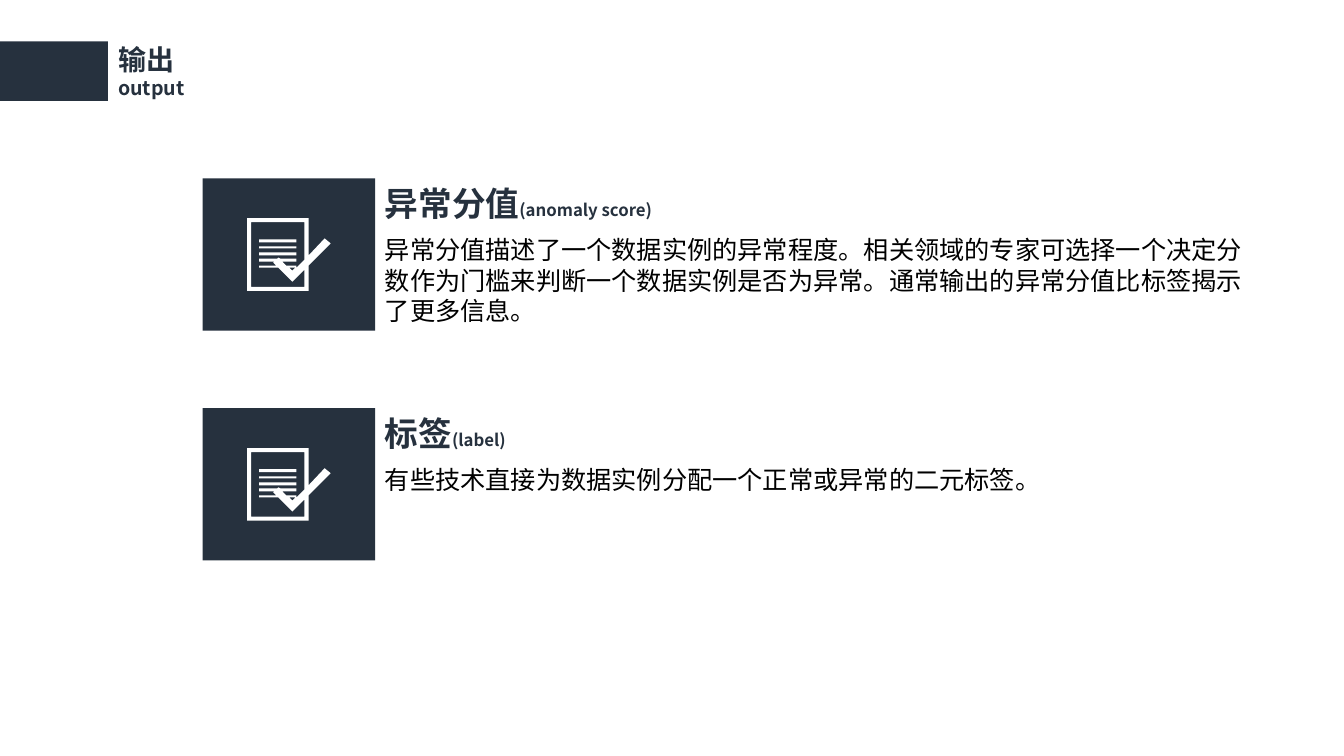
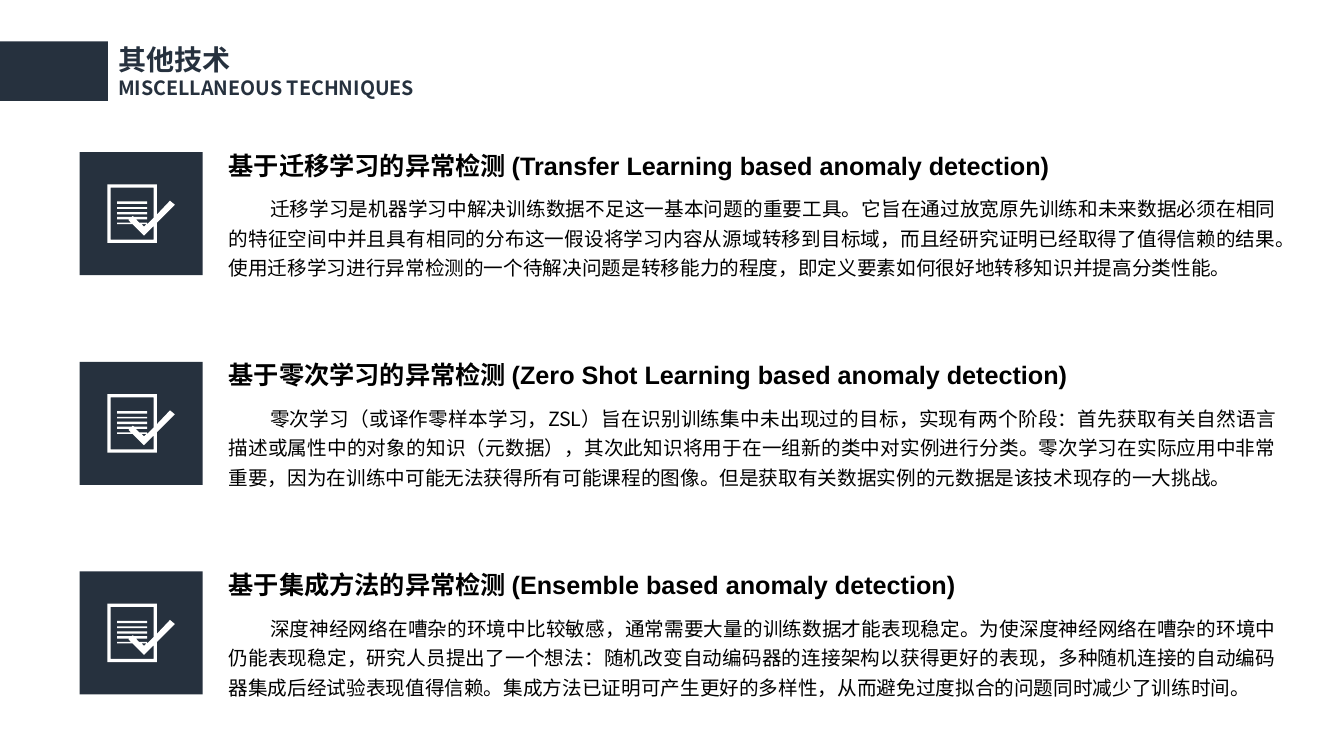
from dataclasses import dataclass

from lxml import etree
from pptx import Presentation
from pptx.dml.color import RGBColor
from pptx.enum.shapes import MSO_SHAPE
from pptx.enum.text import MSO_ANCHOR, MSO_AUTO_SIZE, PP_ALIGN
from pptx.oxml.ns import qn
from pptx.util import Inches, Pt

# Shared look
RECTANGLE = MSO_SHAPE.RECTANGLE
TOP = MSO_ANCHOR.TOP
FIT_SHAPE = MSO_AUTO_SIZE.SHAPE_TO_FIT_TEXT
LEFT, JUSTIFY = PP_ALIGN.LEFT, PP_ALIGN.JUSTIFY
NAVY, BLACK, WHITE = "26313E", "000000", "FFFFFF"
HAN, LATIN = "Noto Sans CJK SC", "Arial"
SLIDE_WIDTH, SLIDE_HEIGHT = Inches(13.33), Inches(7.5)
TITLE_ONLY = 5


@dataclass(frozen=True)
class Frame:
    """Left and width in percent of slide width, top and height of slide height."""
    left: float
    top: float
    width: float
    height: float

    def emu(self) -> tuple[int, int, int, int]:
        return (across(self.left), down(self.top),
                across(self.width), down(self.height))


@dataclass(frozen=True)
class Span:
    text: str
    size: float
    color: str = NAVY
    bold: bool = True
    font: str = HAN


@dataclass(frozen=True)
class Para:
    spans: list[Span]
    align: PP_ALIGN = LEFT
    line_spacing: float = 1.0
    first_indent: float = 0


@dataclass(frozen=True)
class Item:
    heading: Para
    body: Para
    body_height: float


@dataclass(frozen=True)
class ListStyle:
    """Frames of the first item; the others follow at an equal pitch."""
    tile: Frame
    icon_height: float
    heading: Frame
    body_left: float
    body_top: float
    body_width: float
    pitch: float


@dataclass(frozen=True)
class Page:
    title: str
    subtitle: str
    style: ListStyle
    items: list[Item]


BAND = Frame(0, 5.47, 8.03, 7.87)
TITLE = Frame(8.03, 4.93, 32.93, 8.93)

WIDE = ListStyle(Frame(15.08, 23.6, 12.83, 20.13), 9.6,
                 Frame(27.9, 23.6, 38.4, 6.67), 27.9, 30.4, 66.83, 30.4)
COMPACT = ListStyle(Frame(5.93, 20.13, 9.15, 16.27), 7.73,
                    Frame(16.28, 19.2, 77.85, 5.33), 16.28, 24.67, 79.43, 27.73)

# Checklist icon on an 83 by 72 unit grid; inner outlines cut holes
ICON_WIDTH, ICON_HEIGHT = 83, 72
Contour = list[tuple[int, int]]
ICON: list[Contour] = [
    [(0, 0), (61, 0), (61, 37), (77, 20), (83, 25), (61, 47), (61, 72), (0, 72)],
    [(4, 4), (4, 68), (57, 68), (57, 51), (45, 63), (31, 49), (12, 49),
     (12, 47), (29, 47), (26, 44), (27, 43), (12, 43), (12, 40), (30, 40),
     (31, 39), (33, 40), (49, 40), (49, 43), (35, 43), (39, 47), (49, 47),
     (49, 49), (57, 41), (57, 4)],
    [(42, 49), (45, 52), (48, 49)],
    *[[(12, top), (49, top), (49, bottom), (12, bottom)]
      for top, bottom in ((21, 24), (28, 30), (34, 37))],
]


def across(percent: float) -> int:
    return round(SLIDE_WIDTH * percent / 100)


def down(percent: float) -> int:
    return round(SLIDE_HEIGHT * percent / 100)


def rgb(color: str) -> RGBColor:
    return RGBColor.from_string(color)


def paint(shape, color: str) -> None:
    shape.shadow.inherit = False
    shape.fill.solid()
    shape.fill.fore_color.rgb = rgb(color)
    shape.line.fill.background()


def write(box, paras: list[Para]) -> None:
    text_frame = box.text_frame
    text_frame.word_wrap = True
    text_frame.auto_size = FIT_SHAPE
    text_frame.vertical_anchor = TOP
    for index, para in enumerate(paras):
        line = text_frame.add_paragraph() if index else text_frame.paragraphs[0]
        line.alignment = para.align
        line.line_spacing = para.line_spacing
        if para.first_indent:
            line._p.get_or_add_pPr().set("indent", str(across(para.first_indent)))
        for span in para.spans:
            run = line.add_run()
            run.text = span.text
            run.font.size = Pt(span.size)
            run.font.bold = span.bold
            run.font.name = span.font
            run.font.color.rgb = rgb(span.color)
            # East Asian glyphs need their own typeface
            east_asian = etree.SubElement(run.font._element, qn("a:ea"))
            east_asian.set("typeface", HAN)


def add_block(slide, frame: Frame) -> None:
    paint(slide.shapes.add_shape(RECTANGLE, *frame.emu()), NAVY)


def add_text(slide, frame: Frame, para: Para) -> None:
    write(slide.shapes.add_textbox(*frame.emu()), [para])


def add_icon(slide, tile: Frame, height: float) -> None:
    """Draw the icon in the middle of its tile."""
    scale = down(height) / ICON_HEIGHT
    left, top, width, tile_height = tile.emu()
    builder = None
    for start, *others in ICON:
        if builder is None:
            builder = slide.shapes.build_freeform(*start, scale=scale)
        else:
            builder.move_to(*start)
        builder.add_line_segments(others, close=True)
    icon = builder.convert_to_shape(
        round(left + (width - ICON_WIDTH * scale) / 2),
        round(top + (tile_height - ICON_HEIGHT * scale) / 2))
    paint(icon, WHITE)


def add_header(slide, page: Page) -> None:
    add_block(slide, BAND)
    title = slide.shapes.title
    title.left, title.top, title.width, title.height = TITLE.emu()
    write(title, [Para([Span(page.title, 20)]), Para([Span(page.subtitle, 14)])])


def add_item(slide, style: ListStyle, item: Item, index: int) -> None:
    shift = index * style.pitch
    tile, heading = (Frame(frame.left, frame.top + shift, frame.width, frame.height)
                     for frame in (style.tile, style.heading))
    add_block(slide, tile)
    add_icon(slide, tile, style.icon_height)
    add_text(slide, heading, item.heading)
    add_text(slide, Frame(style.body_left, style.body_top + shift,
                          style.body_width, item.body_height), item.body)


def output_item(name: str, english: str, body: str, body_height: float) -> Item:
    return Item(Para([Span(name, 24), Span(english, 12)]),
                Para([Span(body, 18, BLACK, False)]), body_height)


def technique_item(heading: str, body: str) -> Item:
    return Item(Para([Span(heading, 18, BLACK, True, LATIN)]),
                Para([Span(body, 14, BLACK, False)], JUSTIFY, 1.25, 3.08), 12.8)


# Content
PAGES = [
    Page("输出", "output", WIDE, [
        output_item(
            "异常分值", "(anomaly score)",
            "异常分值描述了一个数据实例的异常程度。相关领域的专家可选择一个决定分"
            "数作为门槛来判断一个数据实例是否为异常。通常输出的异常分值比标签揭示"
            "了更多信息。", 13.47),
        output_item(
            "标签", "(label)",
            "有些技术直接为数据实例分配一个正常或异常的二元标签。", 5.33),
    ]),
    Page("其他技术", "MISCELLANEOUS TECHNIQUES", COMPACT, [
        technique_item(
            "基于迁移学习的异常检测 (Transfer Learning based anomaly detection)",
            "迁移学习是机器学习中解决训练数据不足这一基本问题的重要工具。"
            "它旨在通过放宽原先训练和未来数据必须在相同的特征空间中并且具有相同的"
            "分布这一假设将学习内容从源域转移到目标域，而且经研究证明已经取得了"
            "值得信赖的结果。使用迁移学习进行异常检测的一个待解决问题是转移能力的"
            "程度，即定义要素如何很好地转移知识并提高分类性能。"),
        technique_item(
            "基于零次学习的异常检测 (Zero Shot Learning based anomaly detection)",
            "零次学习（或译作零样本学习，ZSL）旨在识别训练集中未出现过的目标，"
            "实现有两个阶段：首先获取有关自然语言描述或属性中的对象的知识（元数据），"
            "其次此知识将用于在一组新的类中对实例进行分类。零次学习在实际应用中非常"
            "重要，因为在训练中可能无法获得所有可能课程的图像。但是获取有关数据实例的"
            "元数据是该技术现存的一大挑战。"),
        technique_item(
            "基于集成方法的异常检测 (Ensemble based anomaly detection)",
            "深度神经网络在嘈杂的环境中比较敏感，通常需要大量的训练数据才能表现稳定。"
            "为使深度神经网络在嘈杂的环境中仍能表现稳定，研究人员提出了一个想法："
            "随机改变自动编码器的连接架构以获得更好的表现，多种随机连接的自动编码器"
            "集成后经试验表现值得信赖。集成方法已证明可产生更好的多样性，"
            "从而避免过度拟合的问题同时减少了训练时间。"),
    ]),
]


def main() -> None:
    deck = Presentation()
    deck.slide_width, deck.slide_height = SLIDE_WIDTH, SLIDE_HEIGHT
    for page in PAGES:
        slide = deck.slides.add_slide(deck.slide_layouts[TITLE_ONLY])
        add_header(slide, page)
        for index, item in enumerate(page.items):
            add_item(slide, page.style, item, index)
    deck.save("out.pptx")


if __name__ == "__main__":
    main()
